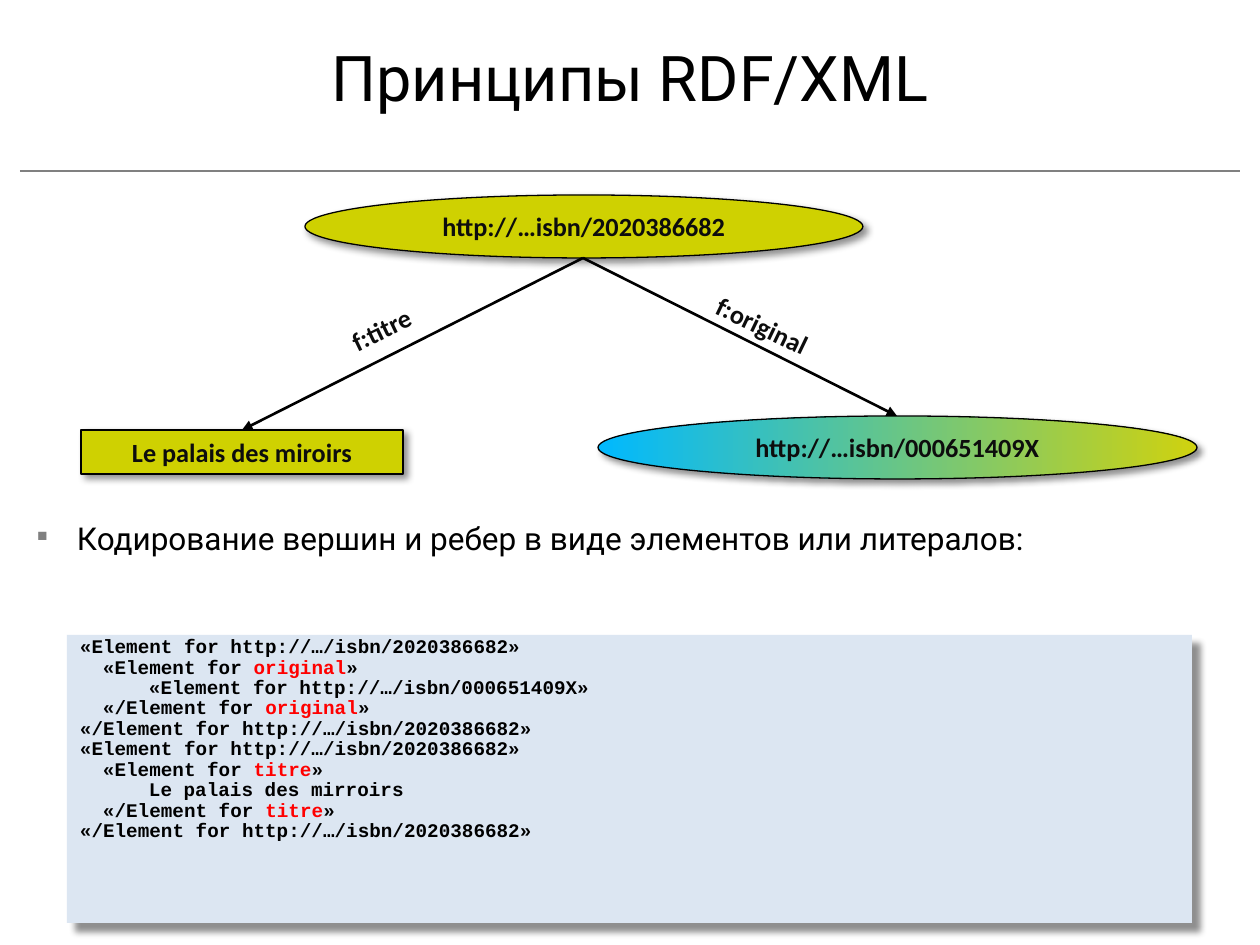
from dataclasses import dataclass

import pptx
import pptx.dml.color
import pptx.enum.shapes
import pptx.enum.text
import pptx.oxml
import pptx.oxml.ns
import pptx.util
from lxml import etree

PIXEL = 914400 // 126
COLORS = {
    "black": "000000", "ink": "0D0D0D", "gray": "808080", "red": "FF0000",
    "olive": "CFD101", "panel": "DCE6F2", "sky": "00B9FF", "lime": "CFD20F",
}
SHAPES = pptx.enum.shapes.MSO_SHAPE
ALIGN = pptx.enum.text.PP_ALIGN
ANCHOR = pptx.enum.text.MSO_ANCHOR
Box = tuple[int, int, int, int]


@dataclass
class Node:
    text: str
    box: Box
    kind: int
    fills: tuple[str, ...]


@dataclass
class Label:
    text: str
    box: Box
    rotation: float


@dataclass
class Line:
    start: tuple[int, int]
    end: tuple[int, int]
    color: str
    width: float
    arrow: bool


@dataclass
class CodeLine:
    indent: int
    before: str
    keyword: str = ""
    after: str = ""


def px(value: int) -> int:
    return value * PIXEL


def rgb(name: str) -> pptx.dml.color.RGBColor:
    return pptx.dml.color.RGBColor.from_string(COLORS[name])


def add_run(paragraph, text: str, font: str, size: int, color: str, bold: bool = False) -> None:
    run = paragraph.add_run()
    run.text = text
    run.font.name = font
    run.font.size = pptx.util.Pt(size)
    run.font.bold = bold
    run.font.color.rgb = rgb(color)


def set_frame(shape, anchor, margins: Box = (13, 6, 13, 6)):
    frame = shape.text_frame
    frame.word_wrap = True
    frame.vertical_anchor = anchor
    frame.margin_left, frame.margin_top, frame.margin_right, frame.margin_bottom = map(px, margins)
    return frame


def add_text_box(slide, box: Box, anchor=ANCHOR.TOP, margins: Box = (13, 6, 13, 6)):
    shape = slide.shapes.add_textbox(*map(px, box))
    return shape, set_frame(shape, anchor, margins).paragraphs[0]


def add_shadow(shape, distance: int) -> None:
    shape.shadow.inherit = False
    effects = shape._element.spPr.find(pptx.oxml.ns.qn("a:effectLst"))
    effects.append(pptx.oxml.parse_xml(
        f'<a:outerShdw {pptx.oxml.ns.nsdecls("a")} blurRad="{pptx.util.Pt(4)}" '
        f'dist="{pptx.util.Pt(distance)}" dir="2700000" algn="tl" rotWithShape="0">'
        f'<a:srgbClr val="{COLORS["black"]}"><a:alpha val="43000"/></a:srgbClr></a:outerShdw>'))


def add_line(slide, line: Line) -> None:
    connector = slide.shapes.add_connector(
        pptx.enum.shapes.MSO_CONNECTOR.STRAIGHT, *map(px, line.start + line.end))
    connector.line.color.rgb = rgb(line.color)
    connector.line.width = pptx.util.Pt(line.width)
    if line.arrow:
        etree.SubElement(connector.line._get_or_add_ln(), pptx.oxml.ns.qn("a:tailEnd"), type="triangle")
    etree.SubElement(connector._element.spPr, pptx.oxml.ns.qn("a:effectLst"))


def add_node(slide, node: Node) -> None:
    shape = slide.shapes.add_shape(node.kind, *map(px, node.box))
    if len(node.fills) == 1:
        shape.fill.solid()
        shape.fill.fore_color.rgb = rgb(node.fills[0])
    else:
        shape.fill.gradient()
        shape.fill.gradient_angle = 0
        for stop, color in zip(shape.fill.gradient_stops, node.fills):
            stop.color.rgb = rgb(color)
    shape.line.color.rgb = rgb("black")
    shape.line.width = pptx.util.Pt(0.75)
    add_shadow(shape, 3)
    paragraph = set_frame(shape, ANCHOR.MIDDLE).paragraphs[0]
    paragraph.alignment = ALIGN.CENTER
    add_run(paragraph, node.text, "Calibri", 15, "ink", True)


def add_label(slide, label: Label) -> None:
    shape, paragraph = add_text_box(slide, label.box)
    shape.rotation = label.rotation
    add_run(paragraph, label.text, "Calibri", 15, "ink", True)


def add_title(slide, text: str) -> None:
    _, paragraph = add_text_box(slide, (0, 23, 1260, 108), ANCHOR.MIDDLE, (13, 4, 13, 6))
    paragraph.alignment = ALIGN.CENTER
    add_run(paragraph, text, "Roboto", 36, "black")


def add_bullet(slide, text: str) -> None:
    _, paragraph = add_text_box(slide, (23, 518, 1214, 69), margins=(0, 4, 0, 0))
    paragraph.line_spacing = 0.93
    paragraph.space_after = pptx.util.Pt(12.9)
    properties = paragraph._p.get_or_add_pPr()
    properties.set("marL", str(px(54)))
    properties.set("indent", str(px(-40)))
    color = etree.SubElement(properties, pptx.oxml.ns.qn("a:buClr"))
    etree.SubElement(color, pptx.oxml.ns.qn("a:srgbClr"), val=COLORS["gray"])
    etree.SubElement(properties, pptx.oxml.ns.qn("a:buSzPct"), val="45000")
    etree.SubElement(properties, pptx.oxml.ns.qn("a:buChar"), char="■")
    add_run(paragraph, text, "Roboto", 18, "black")


def add_code(slide, lines: list[CodeLine]) -> None:
    panel = slide.shapes.add_shape(SHAPES.RECTANGLE, *map(px, (67, 635, 1125, 288)))
    panel.fill.solid()
    panel.fill.fore_color.rgb = rgb("panel")
    panel.line.fill.background()
    add_shadow(panel, 7)
    frame = set_frame(panel, ANCHOR.TOP)
    for index, line in enumerate(lines):
        paragraph = frame.add_paragraph() if index else frame.paragraphs[0]
        paragraph.alignment = ALIGN.LEFT
        paragraph.line_spacing = 0.68
        paragraph.space_before = pptx.util.Pt(2.7)
        paragraph._p.get_or_add_pPr().set("marL", str(px(line.indent)))
        for text, color in ((line.before, "black"), (line.keyword, "red"), (line.after, "black")):
            if text:
                add_run(paragraph, text, "Courier New", 11, color, True)


def element_lines(name: str, content: str) -> list[CodeLine]:
    subject = "Element for http://…/isbn/2020386682»"
    return [
        CodeLine(0, "«" + subject),
        CodeLine(23, "«Element for ", name, "»"),
        CodeLine(69, content),
        CodeLine(23, "«/Element for ", name, "»"),
        CodeLine(0, "«/" + subject),
    ]


NODES = [
    Node("http://…isbn/2020386682", (305, 195, 558, 63), SHAPES.OVAL, ("olive",)),
    Node("Le palais des miroirs", (81, 430, 322, 44), SHAPES.RECTANGLE, ("olive",)),
    Node("http://…isbn/000651409X", (598, 416, 599, 63), SHAPES.OVAL, ("sky", "lime")),
]
LABELS = [
    Label("f:original", (698, 314, 173, 44), 25.7),
    Label("f:titre", (335, 299, 127, 44), 334.2),
]
LINES = [
    Line((20, 171), (1240, 171), "gray", 1, False),
    Line((583, 258), (242, 430), "black", 1.5, True),
    Line((583, 258), (897, 416), "black", 1.5, True),
]

presentation = pptx.Presentation()
presentation.slide_width = pptx.util.Inches(10)
presentation.slide_height = pptx.util.Inches(7.5)
slide = presentation.slides.add_slide(presentation.slide_layouts[6])
add_title(slide, "Принципы RDF/XML")
add_code(slide, element_lines("original", "«Element for http://…/isbn/000651409X»")
         + element_lines("titre", "Le palais des mirroirs"))
add_bullet(slide, "Кодирование вершин и ребер в виде элементов или литералов:")
for label in LABELS:
    add_label(slide, label)
for node in NODES:
    add_node(slide, node)
for line in LINES:
    add_line(slide, line)
presentation.save("out.pptx")
